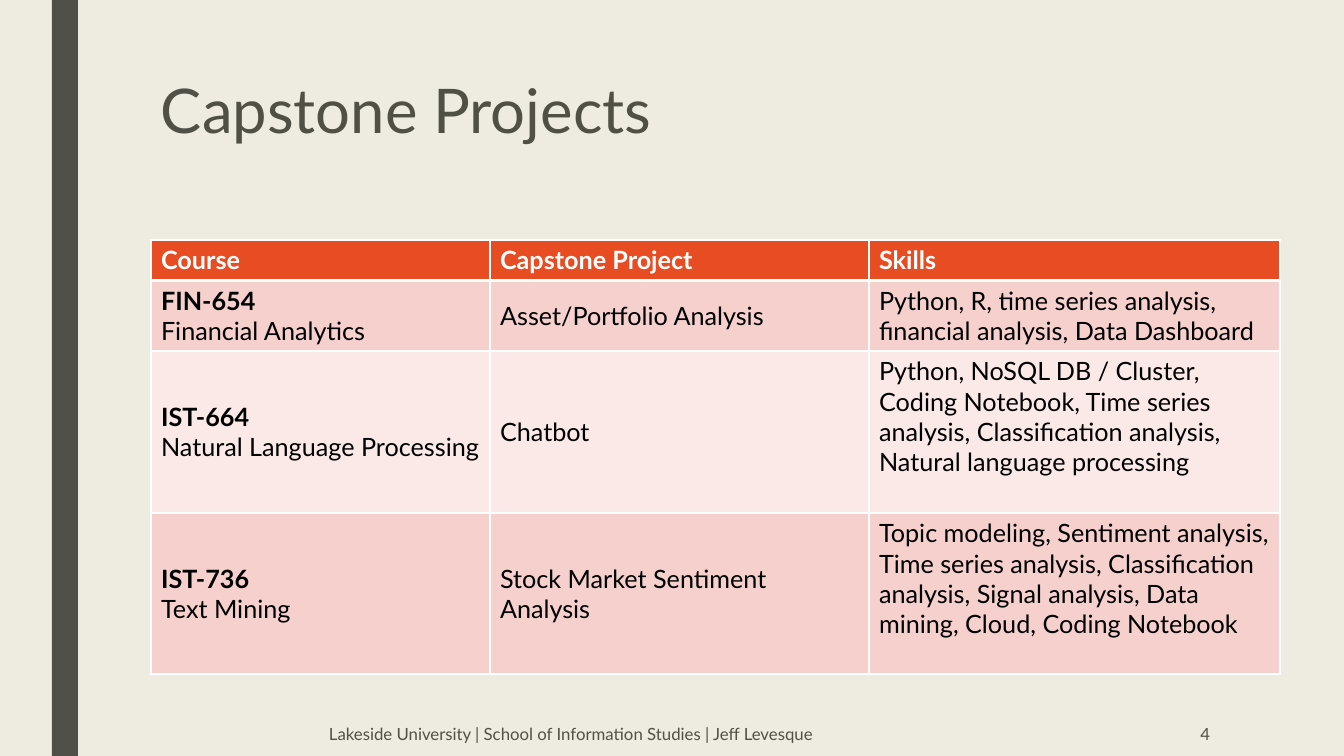
from dataclasses import dataclass

from lxml import etree
from pptx import Presentation
from pptx import util as u
from pptx.dml.color import RGBColor
from pptx.enum import shapes, text
from pptx.oxml.ns import qn

EMU_PER_PX = 914400 / 100.8


@dataclass(frozen=True)
class Theme:
    font: str = "Lato"
    background: str = "EEECE1"
    dark: str = "505046"
    header: str = "E84C22"
    bands: tuple = ("F6D0CD", "FBE9E8")
    white: str = "FFFFFF"
    black: str = "000000"
    title_size: int = 44
    table_size: int = 18
    footer_size: int = 12


def px(length):
    return u.Emu(round(length * EMU_PER_PX))


def paint(fill, color):
    fill.solid()
    fill.fore_color.rgb = RGBColor.from_string(color)


def write(frame, lines, *, size, color, font, bold_first=False,
          anchor=text.MSO_ANCHOR.TOP, align=text.PP_ALIGN.LEFT, spacing=None):
    """Write one paragraph per line into a text frame."""
    frame.word_wrap = True
    for index, line in enumerate(lines):
        paragraph = frame.paragraphs[0] if index == 0 else frame.add_paragraph()
        paragraph.alignment = align
        paragraph.line_spacing = spacing
        run = paragraph.add_run()
        run.text = line
        run.font.name = font
        run.font.size = u.Pt(size)
        run.font.bold = bold_first and index == 0
        run.font.color.rgb = RGBColor.from_string(color)
    frame.vertical_anchor = anchor


def add_borders(cell, color, bottom_width):
    properties = cell._tc.get_or_add_tcPr()
    for side, width in (("L", 1), ("R", 1), ("T", 1), ("B", bottom_width)):
        border = etree.SubElement(properties, qn(f"a:ln{side}"), w=str(u.Pt(width)))
        solid = etree.SubElement(border, qn("a:solidFill"))
        etree.SubElement(solid, qn("a:srgbClr"), val=color)


class Deck:
    def __init__(self, theme):
        self.theme = theme
        self.presentation = Presentation()
        self.presentation.slide_width = px(1344)
        self.presentation.slide_height = px(756)
        self.slide = self.presentation.slides.add_slide(
            self.presentation.slide_layouts[6])
        paint(self.slide.background.fill, theme.background)

    def bar(self, left, top, width, height):
        stripe = self.slide.shapes.add_shape(
            shapes.MSO_SHAPE.RECTANGLE, *map(px, (left, top, width, height)))
        stripe.shadow.inherit = False
        paint(stripe.fill, self.theme.dark)
        stripe.line.fill.background()

    def label(self, wording, left, top, width, height, **style):
        box = self.slide.shapes.add_textbox(*map(px, (left, top, width, height)))
        write(box.text_frame, [wording], color=self.theme.dark,
              font=self.theme.font, **style)

    def table(self, rows, left, top, widths, heights):
        """Draw a header row, then banded rows; each cell is a list of lines."""
        theme = self.theme
        grid = self.slide.shapes.add_table(
            len(rows), len(widths),
            *map(px, (left, top, sum(widths), sum(heights)))).table
        for column, width in zip(grid.columns, widths):
            column.width = px(width)
        for r, (row, height) in enumerate(zip(rows, heights)):
            grid.rows[r].height = px(height)
            is_header = r == 0
            for c, lines in enumerate(row):
                cell = grid.cell(r, c)
                add_borders(cell, theme.white, 3 if is_header else 1)
                paint(cell.fill, theme.header if is_header else theme.bands[(r - 1) % 2])
                write(cell.text_frame, lines, size=theme.table_size, font=theme.font,
                      color=theme.white if is_header else theme.black,
                      bold_first=is_header or c == 0)
                at_top = is_header or c == 2
                cell.vertical_anchor = (text.MSO_ANCHOR.TOP if at_top
                                        else text.MSO_ANCHOR.MIDDLE)


PROJECTS = [
    [["Course"], ["Capstone Project"], ["Skills"]],
    [["FIN-654", "Financial Analytics"], ["Asset/Portfolio Analysis"],
     ["Python, R, time series analysis, financial analysis, Data Dashboard"]],
    [["IST-664", "Natural Language Processing"], ["Chatbot"],
     ["Python, NoSQL DB / Cluster, Coding Notebook, Time series analysis, "
      "Classification analysis, Natural language processing"]],
    [["IST-736", "Text Mining"], ["Stock Market Sentiment Analysis"],
     ["Topic modeling, Sentiment analysis, Time series analysis, Classification "
      "analysis, Signal analysis, Data mining, Cloud, Coding Notebook"]],
]


def main():
    theme = Theme()
    deck = Deck(theme)
    deck.bar(52, 0, 26, 756)
    deck.label("Capstone Projects", 151, 76, 1058, 163,
               size=theme.title_size, spacing=0.89)
    deck.table(PROJECTS, 151, 240, widths=(339, 379, 411), heights=(40, 70, 162, 161))
    footer = {"size": theme.footer_size, "anchor": text.MSO_ANCHOR.MIDDLE}
    deck.label("4", 1044, 712, 176, 44, align=text.PP_ALIGN.RIGHT, **footer)
    deck.label("Lakeside University | School of Information Studies | Jeff Levesque",
               319, 712, 692, 44, **footer)
    deck.presentation.save("out.pptx")


if __name__ == "__main__":
    main()
